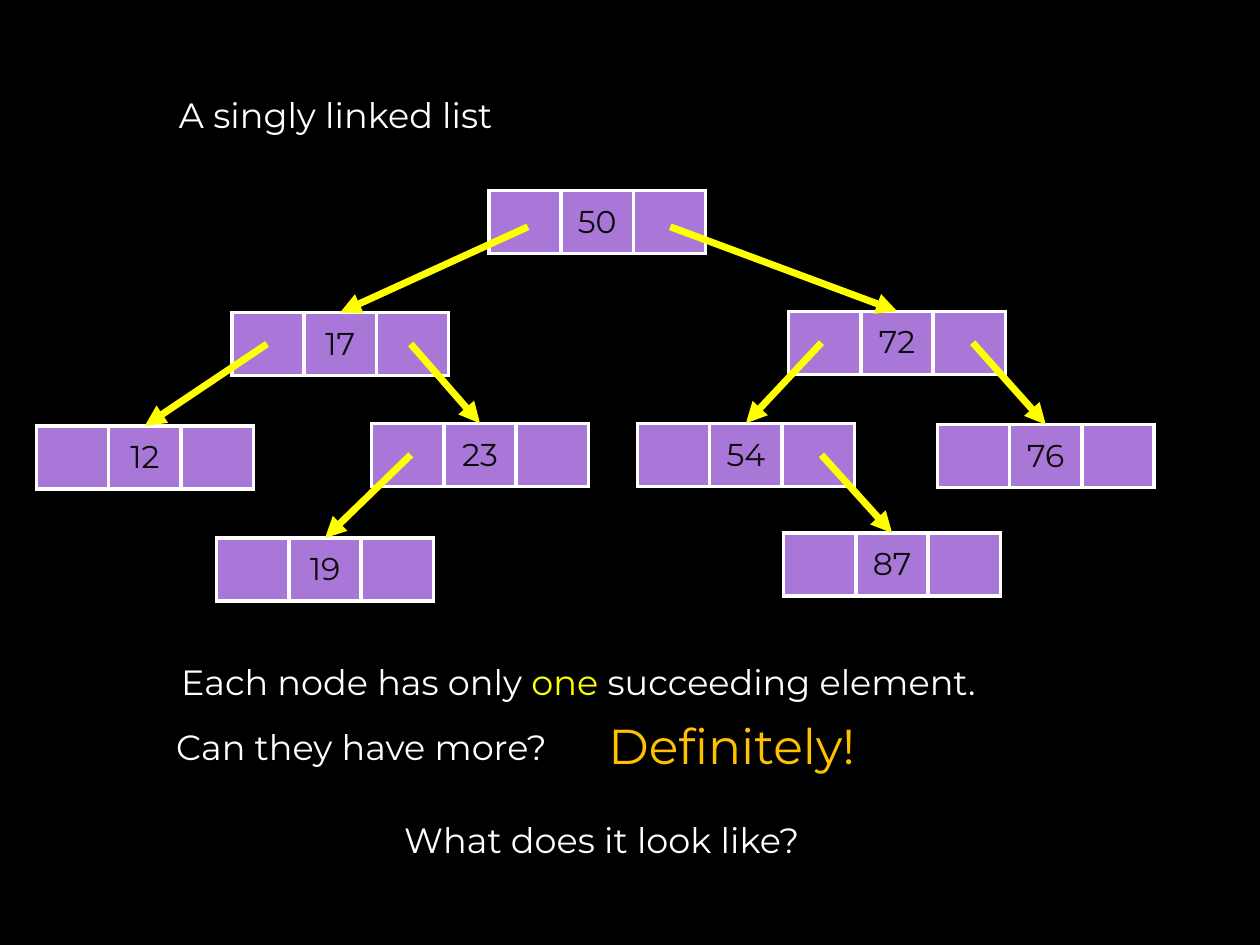
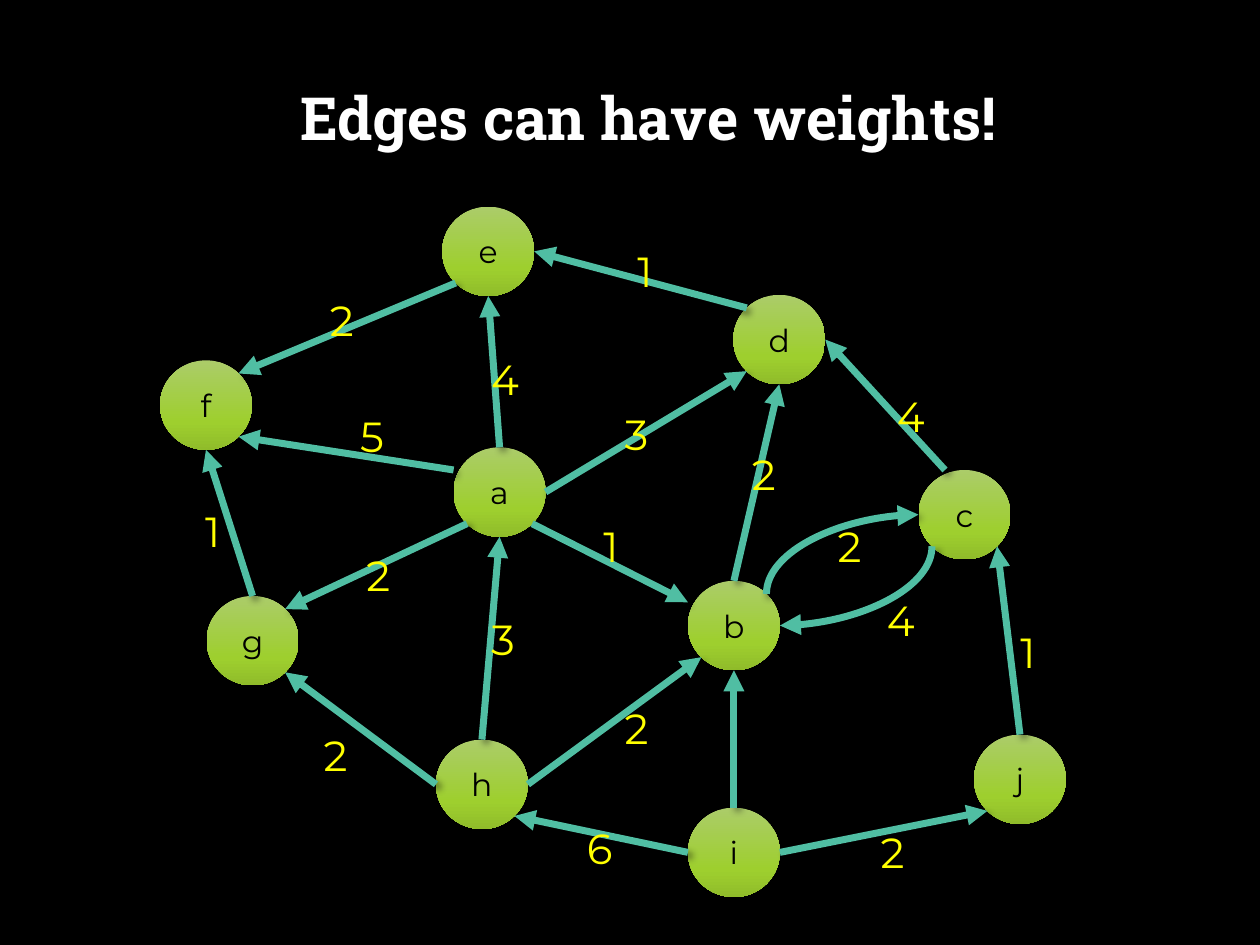
from math import cos, radians, sin

from pptx import Presentation
from pptx import util as u
from pptx.dml.color import RGBColor
from pptx.enum import shapes, text
from pptx.oxml import parse_xml
from pptx.oxml.ns import nsdecls

BLACK = RGBColor(0x00, 0x00, 0x00)
INK = RGBColor(0x0D, 0x0D, 0x0D)
WHITE = RGBColor(0xFF, 0xFF, 0xFF)
YELLOW = RGBColor(0xFF, 0xFF, 0x00)
AMBER = RGBColor(0xFF, 0xC0, 0x00)
PURPLE = RGBColor(0xA9, 0x77, 0xD7)
TEAL = RGBColor(0x50, 0xBE, 0xA3)
BODY_FONT, TITLE_FONT = "Montserrat", "Roboto Slab"

NS = nsdecls("a")
NO_EFFECT = f"<a:effectLst {NS}/>"
SHADOW = (f'<a:effectLst {NS}><a:outerShdw blurRad="%d" dist="38100" dir="%d" rotWithShape="0">'
          '<a:srgbClr val="000000"><a:alpha val="%d"/></a:srgbClr></a:outerShdw></a:effectLst>')
NODE_SHADOW = SHADOW % (76200, 5400000, 76000)
EDGE_SHADOW = SHADOW % (50800, 2700000, 40000)
NODE_GRADIENT = (f'<a:gradFill {NS} rotWithShape="1"><a:gsLst>'
                 '<a:gs pos="0"><a:srgbClr val="ABCC69"/></a:gs>'
                 '<a:gs pos="69000"><a:srgbClr val="9ECF2E"/></a:gs>'
                 '<a:gs pos="100000"><a:srgbClr val="90BC2A"/></a:gs>'
                 '</a:gsLst><a:lin ang="5400000" scaled="0"/></a:gradFill>')
CELL_BORDER = (f'<a:%s {NS} w="28575"><a:solidFill><a:srgbClr val="FFFFFF"/>'
               '</a:solidFill></a:%s>')


def write_line(frame, runs, size, font=BODY_FONT, align=text.PP_ALIGN.LEFT):
    """Fill a text frame with one paragraph of (words, colour) runs."""
    paragraph = frame.paragraphs[0]
    paragraph.alignment = align
    for words, colour in runs:
        run = paragraph.add_run()
        run.text = words
        run.font.name, run.font.size = font, u.Pt(size)
        run.font.color.rgb = colour
    return paragraph


def add_arrow(slide, start, end, colour, effect, curved=False):
    """Draw an arrow; a curved one leaves vertically and arrives horizontally."""
    kind = shapes.MSO_CONNECTOR.STRAIGHT
    if curved:
        # The curve's frame is the quarter-turned box around the same centre
        kind = shapes.MSO_CONNECTOR.CURVE
        mid_x, mid_y = (start[0] + end[0]) / 2, (start[1] + end[1]) / 2
        off_x, off_y = start[1] - mid_y, mid_x - start[0]
        start, end = (mid_x + off_x, mid_y + off_y), (mid_x - off_x, mid_y - off_y)
    arrow = slide.shapes.add_connector(kind, *[u.Inches(v) for v in (*start, *end)])
    arrow.line.color.rgb = colour
    arrow.line.width = u.Pt(4)
    properties = arrow._element.spPr
    properties.ln.append(parse_xml(f'<a:tailEnd {NS} type="triangle"/>'))
    properties.append(parse_xml(effect))
    if curved:
        properties.xfrm.set("rot", "5400000")
        properties.prstGeom.set("prst", "curvedConnector2")


# Shared setup: black 4:3 slides, title-only layout
prs = Presentation()
prs.slide_width, prs.slide_height = u.Inches(10), u.Inches(7.5)
background = prs.slide_master.background.fill
background.solid()
background.fore_color.rgb = BLACK
title_only = prs.slide_layouts[5]
tree_slide = prs.slides.add_slide(title_only)
graph_slide = prs.slides.add_slide(title_only)

titles = [
    (tree_slide, "A singly linked list", (1.32, 0.69, 3.02, 0.44), 20, BODY_FONT,
     text.PP_ALIGN.LEFT, False),
    (graph_slide, "Edges can have weights!", (0.9, 0.66, 8.49, 1.45), 34, TITLE_FONT,
     text.PP_ALIGN.CENTER, True),
]
for slide, words, place, size, font, align, strong in titles:
    title = slide.shapes.title
    title.left, title.top, title.width, title.height = [u.Inches(v) for v in place]
    title.text_frame.vertical_anchor = text.MSO_ANCHOR.TOP
    title.text_frame.auto_size = text.MSO_AUTO_SIZE.NONE
    title.text_frame.word_wrap = strong
    heading = write_line(title.text_frame, [(words, WHITE)], size, font, align)
    heading.space_before = u.Pt(0)
    heading.line_spacing = 0.9 if strong else 1.0
    heading.runs[0].font.bold = strong

# Slide 1: tree nodes (value, left, top, start of the pointer that leads here)
NODE_W, NODE_H = 1.72, 0.5
tree_nodes = [
    ("50", 3.88, 1.51, None),
    ("17", 1.84, 2.48, (4.19, 1.8)),
    ("72", 6.26, 2.47, (5.32, 1.8)),
    ("12", 0.29, 3.38, (2.12, 2.73)),
    ("23", 2.95, 3.36, (3.26, 2.73)),
    ("54", 5.06, 3.36, (6.52, 2.72)),
    ("76", 7.44, 3.37, (7.72, 2.72)),
    ("19", 1.72, 4.27, (3.26, 3.61)),
    ("87", 6.22, 4.23, (6.52, 3.61)),
]
for value, left, top, pointer in tree_nodes:
    node = tree_slide.shapes.add_table(1, 3, u.Inches(left), u.Inches(top),
                                       u.Inches(NODE_W), u.Inches(NODE_H)).table
    node.first_row = node.horz_banding = False
    for cell in node.iter_cells():
        for side in ("lnL", "lnR", "lnT", "lnB"):
            cell._tc.get_or_add_tcPr().append(parse_xml(CELL_BORDER % (side, side)))
        cell.fill.solid()
        cell.fill.fore_color.rgb = PURPLE
        cell.vertical_anchor = text.MSO_ANCHOR.MIDDLE
    write_line(node.cell(0, 1).text_frame, [(value, INK)], 18, align=text.PP_ALIGN.CENTER)

for value, left, top, pointer in tree_nodes:
    if pointer:
        add_arrow(tree_slide, pointer, (left + NODE_W / 2, top), YELLOW, NO_EFFECT)

# Slide 1: remarks below the tree
labels = [
    (tree_slide, (1.34, 5.19, 7.13, 0.44), 20,
     [("Each node has only ", WHITE), ("one", YELLOW), (" succeeding element.", WHITE)]),
    (tree_slide, (1.3, 5.71, 3.42, 0.44), 20, [("Can they have more?", WHITE)]),
    (tree_slide, (4.73, 5.63, 2.39, 0.57), 28, [("Definitely!", AMBER)]),
    (tree_slide, (3.11, 6.45, 3.69, 0.44), 20, [("What does it look like?", WHITE)]),
]

# Slide 2: graph vertices
VERTEX_W, VERTEX_H = 0.73, 0.71
vertices = {
    "a": (3.6, 3.55), "b": (5.46, 4.61), "c": (7.29, 3.73), "d": (5.82, 2.34),
    "e": (3.51, 1.64), "f": (1.27, 2.86), "g": (1.64, 4.73), "h": (3.46, 5.87),
    "i": (5.46, 6.41), "j": (7.73, 5.83),
}
for name, (left, top) in vertices.items():
    vertex = graph_slide.shapes.add_shape(
        shapes.MSO_SHAPE.OVAL, u.Inches(left), u.Inches(top),
        u.Inches(VERTEX_W), u.Inches(VERTEX_H))
    vertex._element.spPr.append(parse_xml(NODE_GRADIENT))
    vertex.line.fill.background()
    vertex._element.spPr.append(parse_xml(NODE_SHADOW))
    vertex.text_frame.vertical_anchor = text.MSO_ANCHOR.MIDDLE
    write_line(vertex.text_frame, [(name, BLACK)], 18, align=text.PP_ALIGN.CENTER)

# Slide 2: edges (from, side or point, to, side or point, weight, weight's place)
ANGLES = {side: 45 * step for step, side in
          enumerate(("E", "SE", "S", "SW", "W", "NW", "N", "NE"))}
edges = [
    ("a", "SE", "b", (5.46, 4.78), "1", (4.69, 4.08)),
    ("a", "N", "e", "S", "4", (3.8, 2.76)),
    ("a", (3.6, 3.73), "f", "SE", "5", (2.76, 3.21)),
    ("a", "SW", "g", "NE", "2", (2.81, 4.31)),
    ("h", "N", "a", "S", "3", (3.8, 4.82)),
    ("h", "E", "b", "SW", "2", (4.86, 5.53)),
    ("i", "N", "b", "S", None, None),
    ("i", "W", "h", "SE", "6", (4.56, 6.48)),
    ("h", "W", "g", "SE", "2", (2.47, 5.74)),
    ("g", "N", "f", "S", "1", (1.53, 3.96)),
    ("e", "SW", "f", "NE", "2", (2.52, 2.29)),
    ("i", "E", "j", "SW", "2", (6.89, 6.51)),
    ("j", "N", "c", "SE", "1", (8.0, 4.92)),
    ("c", (7.5, 3.73), "d", "E", "4", (7.02, 3.05)),
    ("d", "NW", "e", "E", "1", (4.96, 1.9)),
    ("a", "E", "d", "SW", "3", (4.86, 3.19)),
    ("b", "NE", "c", "W", "2", (6.55, 4.08)),
    ("c", "SW", "b", "E", "4", (6.94, 4.67)),
    ("b", "N", "d", "S", "2", (5.87, 3.51)),
]
for source, source_side, target, target_side, weight, place in edges:
    ends = []
    for name, side in ((source, source_side), (target, target_side)):
        if side in ANGLES:
            left, top = vertices[name]
            angle = radians(ANGLES[side])
            side = (left + VERTEX_W / 2 * (1 + cos(angle)),
                    top + VERTEX_H / 2 * (1 + sin(angle)))
        ends.append(side)
    add_arrow(graph_slide, *ends, TEAL, EDGE_SHADOW, curved={source, target} == {"b", "c"})
    if weight:
        labels.append((graph_slide, (*place, 0.43, 0.5), 24, [(weight, YELLOW)]))

# Both slides: free text, in front of the diagrams
for slide, place, size, runs in labels:
    frame = slide.shapes.add_textbox(*[u.Inches(v) for v in place]).text_frame
    frame.word_wrap = False
    frame.auto_size = text.MSO_AUTO_SIZE.SHAPE_TO_FIT_TEXT
    write_line(frame, runs, size)

prs.save("out.pptx")
